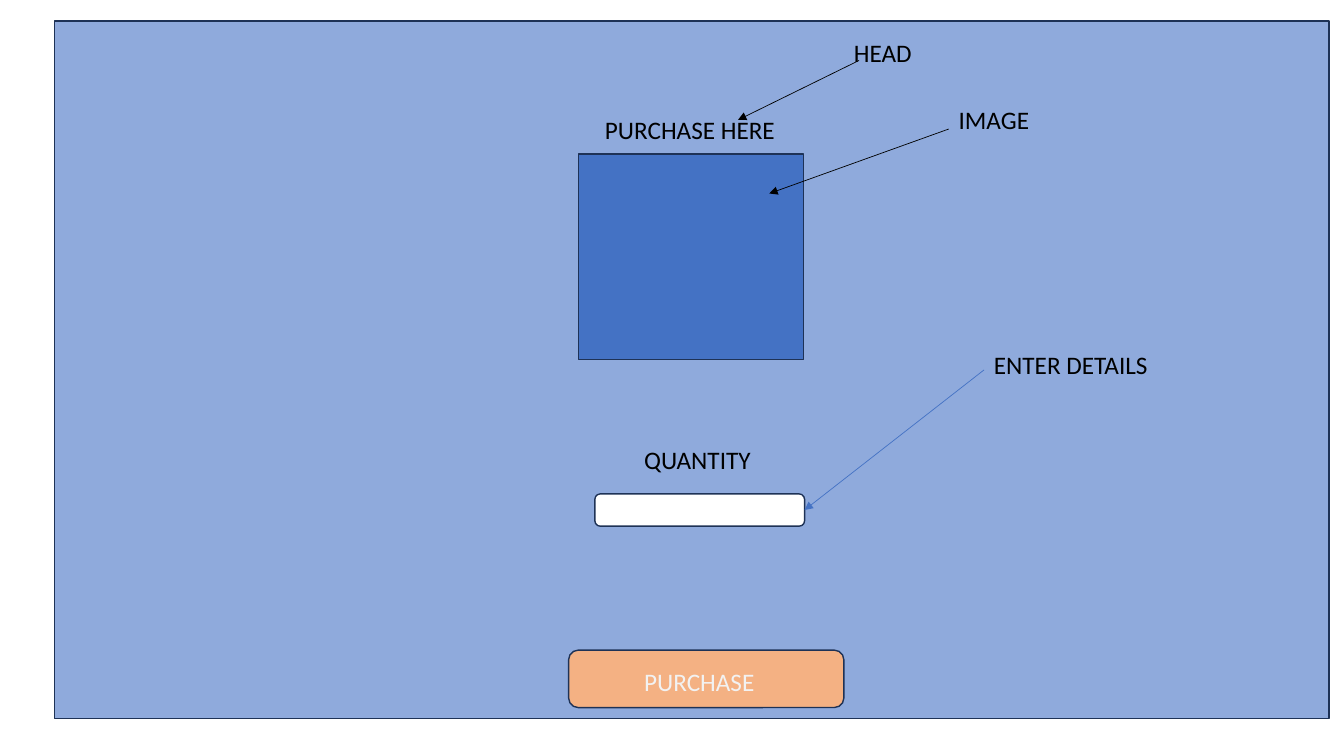
from dataclasses import dataclass

from lxml.etree import SubElement
from pptx import Presentation
from pptx.dml.color import RGBColor
from pptx.enum.shapes import MSO_CONNECTOR, MSO_SHAPE
from pptx.enum.text import MSO_ANCHOR, MSO_AUTO_SIZE, PP_ALIGN
from pptx.oxml.ns import qn
from pptx.shapes.autoshape import Shape
from pptx.shapes.connector import Connector
from pptx.slide import Slide
from pptx.util import Inches, Pt

COLORS = {
    "panel": "8FAADC",
    "image": "4472C4",
    "field": "FFFFFF",
    "button": "F4B183",
    "outline": "1E3256",
    "text": "000000",
    "button_text": "F2F2F2",
}
FONT = "Calibri"
LABEL_HEIGHT = 0.4


@dataclass
class Box:
    left: float
    top: float
    width: float
    height: float
    fill: str
    kind: MSO_SHAPE = MSO_SHAPE.RECTANGLE


@dataclass
class Label:
    text: str
    left: float
    top: float
    width: float
    color: str = "text"


@dataclass
class Arrow:
    start: tuple[float, float]
    end: tuple[float, float]
    color: str = "text"


PANEL = Box(0.54, 0.21, 12.64, 6.92, "panel")
IMAGE = Box(5.74, 1.53, 2.23, 2.04, "image")
FIELD = Box(5.9, 4.9, 2.08, 0.32, "field", MSO_SHAPE.ROUNDED_RECTANGLE)
BUTTON = Box(5.64, 6.45, 2.73, 0.57, "button", MSO_SHAPE.ROUNDED_RECTANGLE)

HEADING = Label("PURCHASE HERE", 5.9, 1.08, 1.92)
LABELS = [
    Label("IMAGE", 9.41, 0.99, 2.3),
    Label("HEAD", 8.37, 0.32, 2.08),
    Label("ENTER DETAILS", 9.76, 3.42, 2),
    Label("PURCHASE", 6.29, 6.56, 2.08, "button_text"),
    Label("QUANTITY", 6.29, 4.36, 2),
]

IMAGE_ARROW = Arrow((9.41, 1.28), (7.63, 1.92))
HEAD_ARROW = Arrow((8.52, 0.6), (7.32, 1.19))
DETAILS_ARROW = Arrow((9.76, 3.67), (7.98, 5.06), "image")


def rgb(name: str) -> RGBColor:
    return RGBColor.from_string(COLORS[name])


def add_box(s: Slide, box: Box) -> Shape:
    sp = s.shapes.add_shape(box.kind, Inches(box.left), Inches(box.top),
                            Inches(box.width), Inches(box.height))
    sp.shadow.inherit = False
    sp.fill.solid()
    sp.fill.fore_color.rgb = rgb(box.fill)
    sp.line.color.rgb = rgb("outline")
    sp.line.width = Pt(1)
    return sp


def write_label(sp: Shape, label: Label) -> None:
    sp.left, sp.top = Inches(label.left), Inches(label.top)
    sp.width, sp.height = Inches(label.width), Inches(LABEL_HEIGHT)
    tf = sp.text_frame
    tf.word_wrap = True
    tf.auto_size = MSO_AUTO_SIZE.SHAPE_TO_FIT_TEXT
    tf.vertical_anchor = MSO_ANCHOR.TOP
    p = tf.paragraphs[0]
    p.alignment = PP_ALIGN.LEFT
    p.line_spacing = 1.0
    p.space_before = Pt(0)
    r = p.add_run()
    r.text = label.text
    r.font.name = FONT
    r.font.size = Pt(18)
    r.font.color.rgb = rgb(label.color)


def add_label(s: Slide, label: Label) -> None:
    sp = s.shapes.add_textbox(Inches(label.left), Inches(label.top),
                              Inches(label.width), Inches(LABEL_HEIGHT))
    write_label(sp, label)


def add_arrow(s: Slide, arrow: Arrow) -> Connector:
    points = [Inches(v) for v in (*arrow.start, *arrow.end)]
    cxn = s.shapes.add_connector(MSO_CONNECTOR.STRAIGHT, *points)
    cxn.line.color.rgb = rgb(arrow.color)
    cxn.line.width = Pt(0.5)
    SubElement(cxn.line._get_or_add_ln(), qn("a:tailEnd"), type="triangle")
    SubElement(cxn._element.spPr, qn("a:effectLst"))
    return cxn


def main() -> None:
    prs = Presentation()
    prs.slide_width, prs.slide_height = Inches(13.33), Inches(7.5)
    s = prs.slides.add_slide(prs.slide_layouts[5])

    add_box(s, PANEL)
    add_box(s, IMAGE)
    field = add_box(s, FIELD)
    add_box(s, BUTTON)

    title = s.shapes.title
    write_label(title, HEADING)
    s.shapes.element.append(title.element)

    add_arrow(s, IMAGE_ARROW)
    add_arrow(s, HEAD_ARROW)
    add_arrow(s, DETAILS_ARROW).end_connect(field, 3)

    for label in LABELS:
        add_label(s, label)

    prs.save("out.pptx")


if __name__ == "__main__":
    main()
